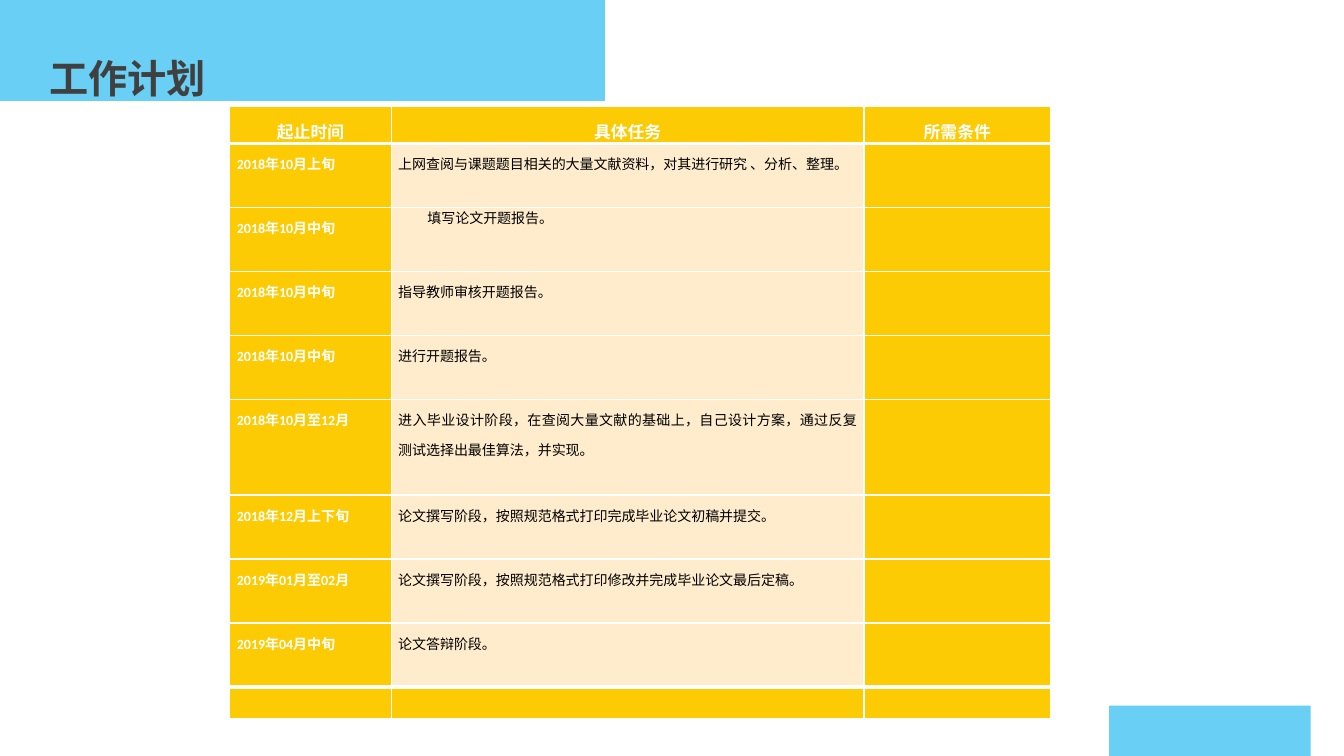
from lxml import etree
from pptx import Presentation
from pptx.dml.color import RGBColor
from pptx.enum.text import MSO_ANCHOR as Anchor, PP_ALIGN as Align
from pptx.oxml.ns import qn
from pptx.util import Inches, Pt

SKY = RGBColor(0x45, 0xC3, 0xF2)
GOLD = RGBColor(0xFC, 0xCB, 0x03)
CREAM = RGBColor(0xFE, 0xEC, 0xCC)
WHITE = RGBColor(0xFF, 0xFF, 0xFF)
BLACK = RGBColor(0x00, 0x00, 0x00)
GRAY = RGBColor(0x40, 0x40, 0x40)

WIDTH, HEIGHT = 13.33, 7.5

HEADERS = ["起止时间", "具体任务", "所需条件"]
# (period, task, height in grid rows)
PLAN = [
    ("2018年10月上旬", "上网查阅与课题题目相关的大量文献资料，对其进行研究 、分析、整理。", 2),
    ("2018年10月中旬", "填写论文开题报告。", 2),
    ("2018年10月中旬", "指导教师审核开题报告。", 2),
    ("2018年10月中旬", "进行开题报告。", 2),
    ("2018年10月至12月", "进入毕业设计阶段，在查阅大量文献的基础上，自己设计方案，"
     "通过反复测试选择出最佳算法，并实现。", 3),
    ("2018年12月上下旬", "论文撰写阶段，按照规范格式打印完成毕业论文初稿并提交。", 2),
    ("2019年01月至02月", "论文撰写阶段，按照规范格式打印修改并完成毕业论文最后定稿。", 2),
    ("2019年04月中旬", "论文答辩阶段。", 2),
    ("", "", 1),
]
INDENTED_ROW = 2


def bezier(start, c1, c2, end, steps=24):
    """Points along a cubic curve, after its start."""
    for i in range(1, steps + 1):
        t = i / steps
        u = 1 - t
        yield tuple(u**3 * a + 3 * u * u * t * b + 3 * u * t * t * c + t**3 * d
                    for a, b, c, d in zip(start, c1, c2, end))


class PlanSlide:
    font = "Calibri"

    def __init__(self, prs):
        self.s = prs.slides.add_slide(prs.slide_layouts[5])

    def run(self, p, text, size, color, bold):
        r = p.add_run()
        r.text = text
        r.font.name, r.font.size, r.font.bold = self.font, Pt(size), bold
        r.font.color.rgb = color

    def wave(self, start, *segments):
        """Outline whose segments hold one point (line) or three (curve)."""
        points = [start]
        for seg in segments:
            points += seg if len(seg) == 1 else bezier(points[-1], *seg)
        builder = self.s.shapes.build_freeform(*start, scale=Inches(1))
        builder.add_line_segments(points[1:], close=True)
        sp = builder.convert_to_shape()
        sp.shadow.inherit = False
        sp.line.fill.background()
        sp.fill.solid()
        sp.fill.fore_color.rgb = SKY
        color = sp.element.spPr.find(".//" + qn("a:srgbClr"))
        etree.SubElement(color, qn("a:alpha"), val="80000")

    def title(self, text, left, top, width, height):
        sp = self.s.shapes.title
        sp.left, sp.top = Inches(left), Inches(top)
        sp.width, sp.height = Inches(width), Inches(height)
        sp.element.getparent().append(sp.element)  # bring in front of the waves
        tf = sp.text_frame
        tf.word_wrap, tf.vertical_anchor = True, Anchor.MIDDLE
        p = tf.paragraphs[0]
        p.alignment, p.line_spacing = Align.LEFT, 0.9
        self.run(p, text, 28, GRAY, True)

    def cell(self, cell, text, fill, color, size, align, top=1, bottom=1, indent=0):
        cell.fill.solid()
        cell.fill.fore_color.rgb = fill
        cell.margin_left = cell.margin_right = Inches(0.07)
        cell.margin_top = cell.margin_bottom = 0
        # Borders come before the fill in the cell properties
        tc_pr = cell._tc.get_or_add_tcPr()
        for i, (side, width) in enumerate(zip("LRTB", (1, 1, top, bottom))):
            ln = etree.Element(qn("a:ln" + side), w=str(Pt(width)))
            solid = etree.SubElement(ln, qn("a:solidFill"))
            etree.SubElement(solid, qn("a:srgbClr"), val=str(WHITE))
            tc_pr.insert(i, ln)
        if not text:
            return
        p = cell.text_frame.paragraphs[0]
        p.alignment = align
        if indent:
            p._p.get_or_add_pPr().set("indent", str(Inches(indent)))
        else:
            p.line_spacing = 1.5
        self.run(p, text, size, color, color == WHITE)

    def plan_table(self, left, top, widths, head, height):
        unit = (height - head) / sum(rows for *_, rows in PLAN)
        table = self.s.shapes.add_table(
            len(PLAN) + 1, len(widths), Inches(left), Inches(top),
            Inches(sum(widths)), Inches(height)).table
        table.horz_banding = False
        for col, width in zip(table.columns, widths):
            col.width = Inches(width)
        # Header row
        table.rows[0].height = Inches(head)
        for c, text in enumerate(HEADERS):
            self.cell(table.cell(0, c), text, GOLD, WHITE, 12, Align.CENTER, bottom=3)
        # Plan rows; the empty last one closes the table
        last = len(PLAN)
        for r, (period, task, rows) in enumerate(PLAN, 1):
            table.rows[r].height = Inches(unit * rows)
            edges = {"top": 3 if r in (1, last) else 1,
                     "bottom": 3 if r == last - 1 else 1}
            for c, text in enumerate((period, task, "")):
                is_task = c == 1 and r != last
                self.cell(table.cell(r, c), text, CREAM if is_task else GOLD,
                          BLACK if is_task else WHITE, 10, Align.JUSTIFY,
                          indent=0.29 if is_task and r == INDENTED_ROW else 0, **edges)


def main():
    prs = Presentation()
    prs.slide_width, prs.slide_height = Inches(WIDTH), Inches(HEIGHT)
    slide = PlanSlide(prs)

    # Corner waves
    slide.wave((0, 0), [(6.89, 0)], [(6.83, 0.05)],
               [(6.6, 0.22), (6.3, 0.36), (5.95, 0.45)],
               [(5.6, 0.54), (5.19, 0.59), (4.73, 0.59)],
               [(0.06, 0.59)], [(0, 0.58)])
    slide.wave((WIDTH, HEIGHT), [(11.07, HEIGHT)], [(11.09, 7.45)],
               [(11.17, 7.28), (11.26, 7.14), (11.38, 7.05)],
               [(11.5, 6.96), (11.63, 6.91), (11.78, 6.91)],
               [(13.31, 6.91)], [(WIDTH, 6.92)])

    # Title and work plan
    slide.title("工作计划", 0.39, 0.55, 3.74, 0.51)
    slide.plan_table(2.28, 1.06, (1.6, 4.69, 1.85), 0.36, 6.07)
    prs.save("out.pptx")


if __name__ == "__main__":
    main()
